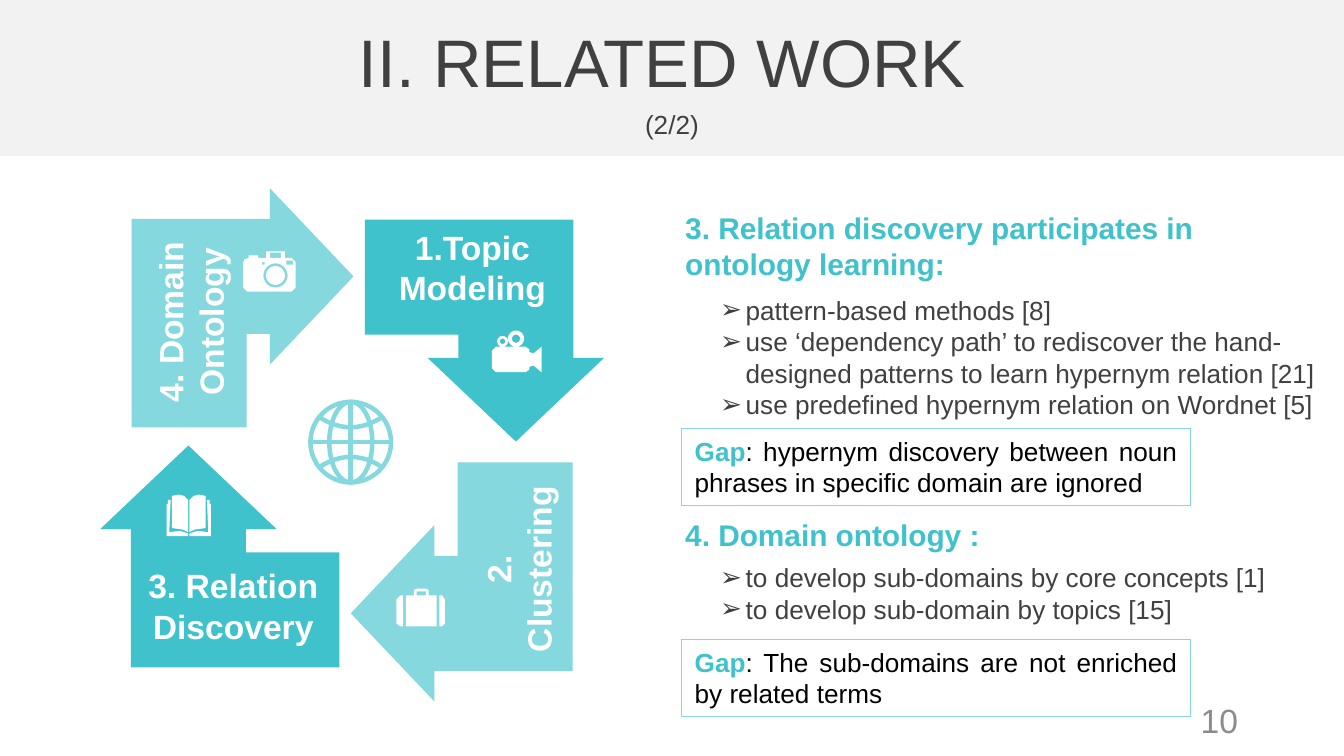
import math
from lxml import etree
from pptx import Presentation
from pptx import util as u
from pptx.dml.color import RGBColor
from pptx.enum import shapes, text
from pptx.oxml import ns

TEAL = RGBColor(0x3F, 0xC2, 0xCB)
AQUA = RGBColor(0x85, 0xD8, 0xDE)
WHITE = RGBColor(0xFF, 0xFF, 0xFF)
BLACK = RGBColor(0, 0, 0)
PALE = RGBColor(0xF2, 0xF2, 0xF2)
DARK = RGBColor(0x40, 0x40, 0x40)
GRAY = RGBColor(0x8C, 0x8C, 0x8C)
LEFT, CENTER, RIGHT, JUSTIFY = (
    text.PP_ALIGN.LEFT, text.PP_ALIGN.CENTER, text.PP_ALIGN.RIGHT, text.PP_ALIGN.JUSTIFY)
TOP, MIDDLE = text.MSO_ANCHOR.TOP, text.MSO_ANCHOR.MIDDLE


def write_text(box, paragraphs, size, align=LEFT, anchor=MIDDLE, bullet=None):
    frame = box.text_frame
    frame.word_wrap = True
    frame.vertical_anchor = anchor
    for index, spans in enumerate(paragraphs):
        para = frame.add_paragraph() if index else frame.paragraphs[0]
        para.alignment = align
        if bullet:
            properties = para._p.get_or_add_pPr()
            properties.set("marL", str(u.Inches(0.19)))
            properties.set("indent", str(-u.Inches(0.19)))
            etree.SubElement(properties, ns.qn("a:buFont")).set("typeface", "Arial")
            etree.SubElement(properties, ns.qn("a:buChar")).set("char", bullet)
        for words, color, bold in spans:
            span = para.add_run()
            span.text = words
            span.font.name = "Arial"
            span.font.size = u.Pt(size)
            span.font.bold = bold
            span.font.color.rgb = color


def add_outline(page, contours, closed=True):
    builder = None
    for contour in contours:
        if len(contour) == 3 and not isinstance(contour[0], tuple):
            x, y, radius = contour
            angles = [math.tau * step / 36 for step in range(36)]
            contour = [(x + radius * math.cos(a), y + radius * math.sin(a)) for a in angles]
        elif not isinstance(contour[0], tuple):
            x1, y1, x2, y2 = contour
            contour = [(x1, y1), (x2, y1), (x2, y2), (x1, y2)]
        points = [(u.Inches(x), u.Inches(y)) for x, y in contour]
        if builder is None:
            builder = page.shapes.build_freeform(*points[0], scale=1.0)
        else:
            builder.move_to(*points[0])
        builder.add_line_segments(points[1:], close=closed)
    outline = builder.convert_to_shape()
    outline.shadow.inherit = False
    if closed:
        outline.fill.solid()
        outline.fill.fore_color.rgb = WHITE
        outline.line.fill.background()
    else:
        outline.fill.background()
        outline.line.color.rgb = AQUA
        outline.line.width = u.Pt(2.4)


deck = Presentation()
deck.slide_width = u.Inches(10)
deck.slide_height = u.Inches(10 * 9 / 16)
page = deck.slides.add_slide(deck.slide_layouts[6])

band = page.shapes.add_shape(
    shapes.MSO_SHAPE.RECTANGLE, 0, 0, u.Inches(10), u.Inches(1.16))
band.shadow.inherit = False
band.fill.solid()
band.fill.fore_color.rgb = PALE
band.line.fill.background()

arrows = [(0.98, 1.4, AQUA), (2.78, 1.57, TEAL), (2.61, 3.44, AQUA), (0.81, 3.25, TEAL)]
for turn, (left, top, color) in enumerate(arrows):
    arrow = page.shapes.add_shape(
        shapes.MSO_SHAPE.BENT_ARROW,
        u.Inches(left), u.Inches(top), u.Inches(1.65), u.Inches(1.78))
    for index, value in enumerate((0.518, 0.398, 0.377, 0)):
        arrow.adjustments[index] = value
    arrow.rotation = 90 * turn
    arrow.shadow.inherit = False
    arrow.fill.solid()
    arrow.fill.fore_color.rgb = color
    arrow.line.fill.background()

camera = [
    [(1.81, 1.95), (1.82, 1.93), (1.85, 1.92), (1.85, 1.9), (1.92, 1.9), (1.92, 1.92),
     (1.98, 1.92), (1.98, 1.87), (2.12, 1.87), (2.12, 1.92), (2.17, 1.92), (2.2, 1.95),
     (2.2, 2.14), (2.17, 2.17), (1.84, 2.17), (1.81, 2.14)],
    (2.01, 1.88, 2.09, 1.92), (2.13, 1.94, 2.18, 1.97), (1.95, 1.95, 1.97, 1.97),
    (2.05, 2.05, 0.09), (2.05, 2.05, 0.07)]
book = [
    [(1.28, 3.69), (1.33, 3.68), (1.37, 3.69), (1.4, 3.72), (1.4, 3.96), (1.36, 3.94),
     (1.28, 3.93)],
    [(1.27, 3.72), (1.25, 3.72), (1.25, 3.75), (1.24, 3.75), (1.24, 3.99), (1.4, 3.99),
     (1.4, 3.97), (1.34, 3.95), (1.26, 3.96)]]
book += [[(2.81 - x, y) for x, y in half] for half in book]
projector = [
    [(3.66, 2.61), (3.69, 2.58), (3.91, 2.58), (3.94, 2.6), (3.94, 2.62), (3.97, 2.63),
     (4.03, 2.58), (4.03, 2.77), (3.97, 2.72), (3.94, 2.73), (3.94, 2.75), (3.91, 2.77),
     (3.69, 2.77), (3.66, 2.74)],
    (3.74, 2.54, 0.04), (3.74, 2.54, 0.02), (3.84, 2.52, 0.06), (3.84, 2.52, 0.03)]
suitcase = [
    [(3, 4.43), (2.98, 4.43), (2.95, 4.46), (2.95, 4.64), (2.98, 4.66), (3, 4.66)],
    [(3.27, 4.43), (3.29, 4.43), (3.31, 4.46), (3.31, 4.64), (3.29, 4.66), (3.27, 4.66)],
    [(3.02, 4.43), (3.08, 4.43), (3.08, 4.39), (3.1, 4.38), (3.17, 4.38), (3.19, 4.39),
     (3.19, 4.43), (3.25, 4.43), (3.25, 4.66), (3.02, 4.66)],
    (3.1, 4.4, 3.17, 4.43)]
for icon in (camera, book, projector, suitcase):
    add_outline(page, icon)

for radius_x in (0.3, 0.16):
    oval = page.shapes.add_shape(
        shapes.MSO_SHAPE.OVAL, u.Inches(2.61 - radius_x), u.Inches(2.99),
        u.Inches(2 * radius_x), u.Inches(0.6))
    oval.shadow.inherit = False
    oval.fill.background()
    oval.line.color.rgb = AQUA
    oval.line.width = u.Pt(2.4)
offsets = [step * 0.04 - 0.24 for step in range(13)]
parallels = [
    [(2.61 + x, 3.29 + side * (0.11 + 1.4 * x * x)) for x in offsets] for side in (-1, 1)]
axes = [[(2.61, 2.99), (2.61, 3.59)], [(2.31, 3.29), (2.91, 3.29)]]
add_outline(page, parallels + axes, closed=False)

labels = [
    (3.06, 3.88, 270, "2. Clustering"),
    (0.94, 4.15, 0, "3. Relation Discovery"),
    (0.62, 2.04, 270, "4. Domain Ontology"),
    (2.72, 1.63, 0, "1.Topic Modeling")]
for left, top, rotation, words in labels:
    box = page.shapes.add_textbox(
        u.Inches(left), u.Inches(top), u.Inches(1.59), u.Inches(0.71))
    box.rotation = rotation
    write_text(box, [[(words, WHITE, True)]], 18, CENTER)

lines = [
    (0, 0.14, 10, 0.63, "II. RELATED WORK ", 36, DARK, False, CENTER),
    (0, 0.77, 10, 0.31, "(2/2)", 14, DARK, False, CENTER),
    (5, 1.51, 4.45, 0.64, "3. Relation discovery participates in ontology learning:",
     16, TEAL, True, LEFT),
    (5, 3.79, 4.45, 0.37, "4. Domain ontology :", 16, TEAL, True, LEFT),
    (7.06, 5.21, 2.25, 0.3, "10", 18, GRAY, False, RIGHT)]
for left, top, width, height, words, size, color, bold, align in lines:
    box = page.shapes.add_textbox(
        u.Inches(left), u.Inches(top), u.Inches(width), u.Inches(height))
    write_text(box, [[(words, color, bold)]], size, align)

lists = [
    (2.14, 4.86, 1.04, [
        "pattern-based methods [8]",
        "use ‘dependency path’ to rediscover the hand-designed patterns to learn "
        "hypernym relation [21]",
        "use predefined hypernym relation on Wordnet [5]"]),
    (4.13, 4.45, 0.81, [
        "to develop sub-domains by core concepts [1]",
        "to develop sub-domain by topics [15]"])]
for top, width, height, items in lists:
    box = page.shapes.add_textbox(
        u.Inches(5.26), u.Inches(top), u.Inches(width), u.Inches(height))
    write_text(box, [[(item, DARK, False)] for item in items], 14, anchor=TOP, bullet="➢")

gaps = [
    (4.76, ": The sub-domains are not enriched by related terms "),
    (3.19, ": hypernym discovery between noun phrases in specific domain are ignored")]
for top, words in gaps:
    box = page.shapes.add_shape(
        shapes.MSO_SHAPE.RECTANGLE,
        u.Inches(5.07), u.Inches(top), u.Inches(3.79), u.Inches(0.57))
    box.shadow.inherit = False
    box.fill.background()
    box.line.color.rgb = AQUA
    box.line.width = u.Pt(0.75)
    write_text(box, [[("Gap", TEAL, True), (words, BLACK, False)]], 14, JUSTIFY, TOP)

deck.save("out.pptx")
